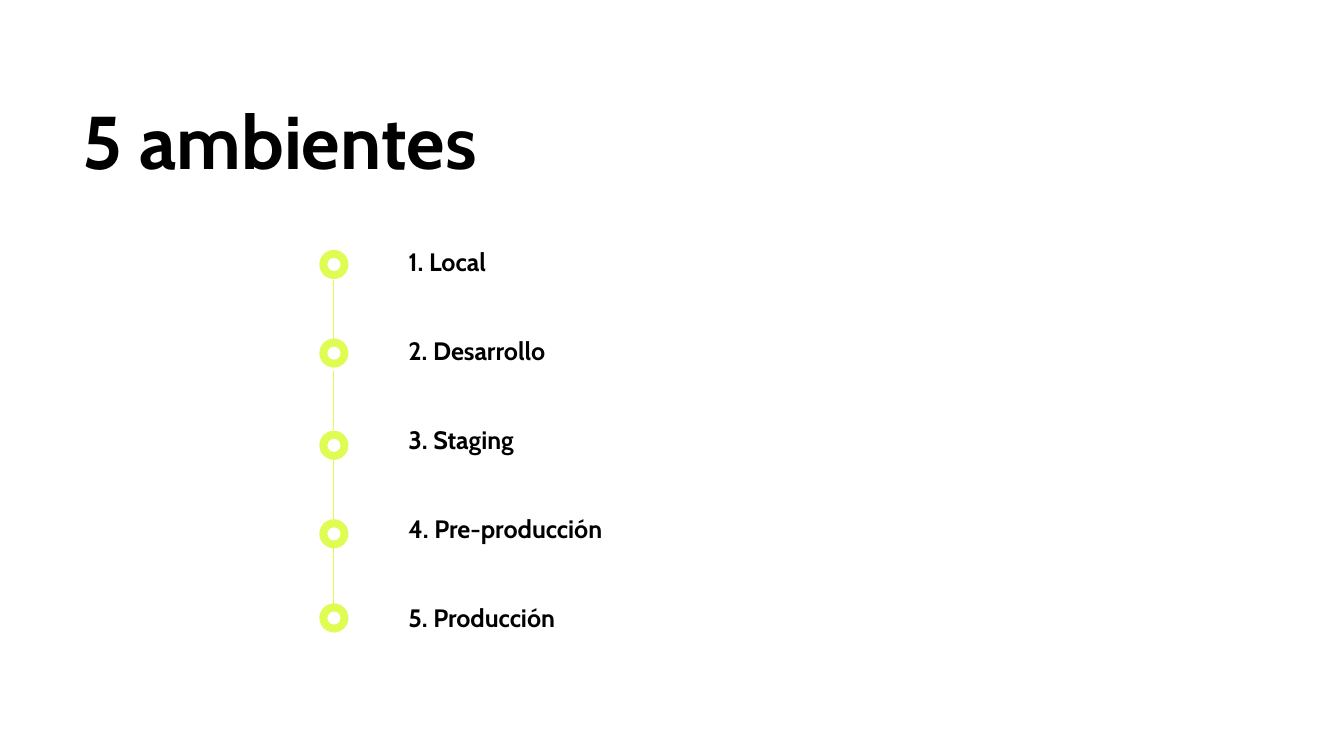
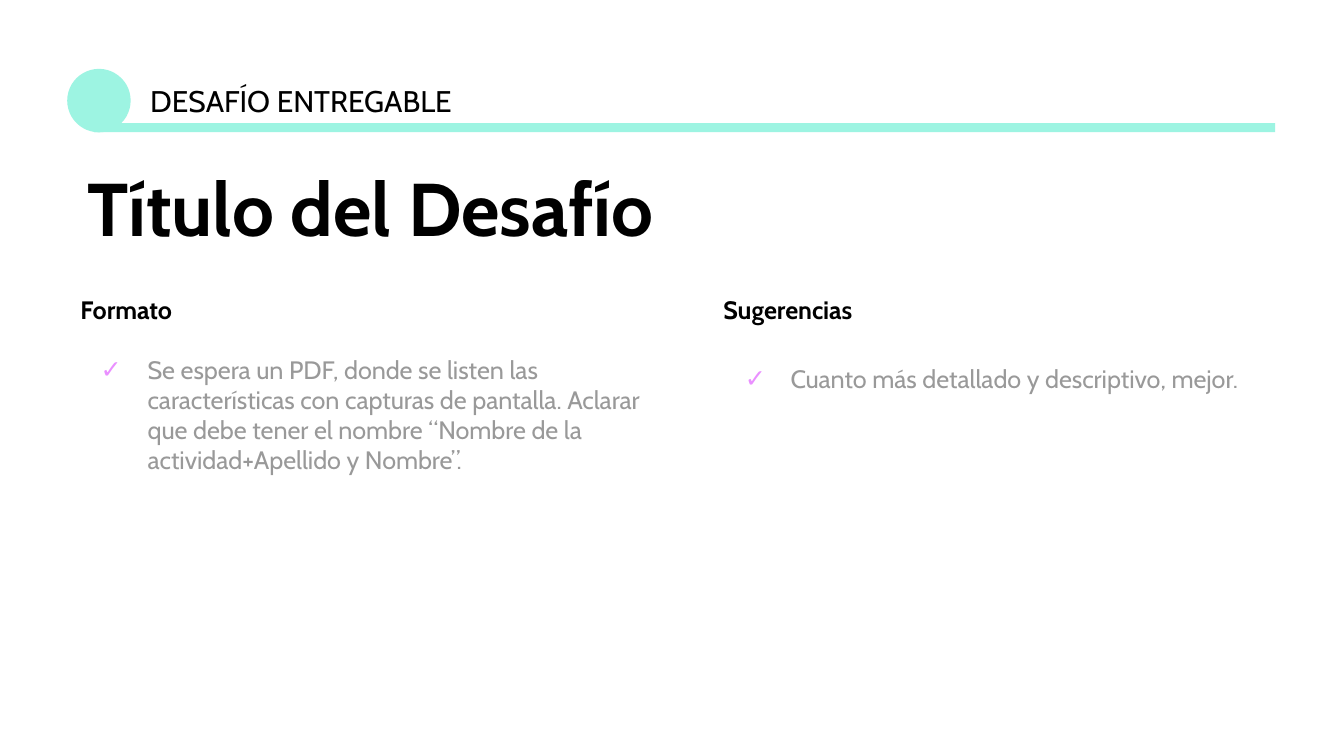
"""Build two slides: the five environments and the challenge brief."""
from lxml.etree import SubElement as Sub
from pptx import Presentation
from pptx.dml.color import RGBColor as RGB
from pptx.enum.shapes import MSO_CONNECTOR as Link, MSO_SHAPE as Form
from pptx.enum.text import MSO_AUTO_SIZE as Fit
from pptx.oxml.ns import qn
from pptx.util import Pt

INK = {"black": "000000", "white": "FFFFFF", "lime": "DEFC52",
       "mint": "9DF4E2", "grey": "999999", "pink": "EA90FF"}
FONT = "Cabin"
TITLE = {"size": 40, "bold": True, "lead": 0.9}
HEAD = {"size": 13.5, "bold": True}


def write(slide, left, top, width, height, text, size, bold=False, lead=None):
    box = slide.shapes.add_textbox(Pt(left), Pt(top), Pt(width), Pt(height))
    frame = box.text_frame
    frame.word_wrap = True
    frame.auto_size = Fit.SHAPE_TO_FIT_TEXT
    for side in ("left", "right", "top", "bottom"):
        setattr(frame, f"margin_{side}", Pt(7.2))
    para = frame.paragraphs[0]
    if lead:
        para.line_spacing = lead
    run = para.add_run()
    run.text = text
    run.font.name, run.font.size, run.font.bold = FONT, Pt(size), bold
    run.font.color.rgb = RGB.from_string(INK["black"])
    return frame


def draw(shapes, form, left, top, width, height, tone):
    shape = shapes.add_shape(form, Pt(left), Pt(top), Pt(width), Pt(height))
    shape.shadow.inherit = False
    shape.fill.solid()
    shape.fill.fore_color.rgb = RGB.from_string(INK[tone])
    shape.line.fill.background()


deck = Presentation()
deck.slide_width, deck.slide_height = Pt(720), Pt(405)
blank = deck.slide_layouts[6]

stages = deck.slides.add_slide(blank)
write(stages, 37.4, 49, 640.8, 58.3, "5 ambientes", **TITLE)

AXIS = 178.8
for start, end in [(149.8, 181.4), (198.7, 230.4), (246.2, 277.9), (289.4, 327.6)]:
    line = stages.shapes.add_connector(Link.STRAIGHT, Pt(AXIS), Pt(start), Pt(AXIS), Pt(end))
    line.line.color.rgb = RGB.from_string(INK["lime"])
    line.line.width = Pt(0.75)
    Sub(line._element.spPr, qn("a:effectLst"))

names = ["Local", "Desarrollo", "Staging", "Pre-producción", "Producción"]
tops = [133.9, 181.4, 230.8, 278.2, 323.3]
for step, (name, top) in enumerate(zip(names, tops)):
    ring = stages.shapes.add_group_shape()
    draw(ring.shapes, Form.OVAL, 171.1, top, 15.6, 15.6, "lime")
    draw(ring.shapes, Form.OVAL, 175.4, top + 4.3, 7, 7, "white")
    write(stages, 211.7, 124.6 + 47.7 * step, 337, 31, f"{step + 1}. {name}", **HEAD)

task = deck.slides.add_slide(blank)
draw(task.shapes, Form.OVAL, 36, 36.9, 34, 34, "mint")
draw(task.shapes, Form.RECTANGLE, 50.4, 66, 632.7, 4.8, "mint")
write(task, 73.4, 36.9, 193.7, 33.8, "DESAFÍO ENTREGABLE", 16)
write(task, 39.8, 84.9, 575.3, 58.3, "Título del Desafío", **TITLE)

columns = [
    (36, 337.7, 113.8, 15.8, 25.2, "Formato",
     "Se espera un PDF, donde se listen las características con capturas de pantalla. "
     "Aclarar que debe tener el nombre “Nombre de la actividad+Apellido y Nombre”."),
    (380.4, 301.7, 85, 20.8, 24.5, "Sugerencias",
     "Cuanto más detallado y descriptivo, mejor."),
]
for left, width, height, gap, hang, head, note in columns:
    frame = write(task, left, 150.5, width, height, head, **HEAD)
    para = frame.add_paragraph()
    para.space_before = Pt(gap)
    props = para._p.get_or_add_pPr()
    props.set("marL", str(Pt(36)))
    props.set("indent", str(-Pt(hang)))
    Sub(Sub(props, qn("a:buClr")), qn("a:srgbClr"), val=INK["pink"])
    Sub(props, qn("a:buFont"), typeface=FONT)
    Sub(props, qn("a:buChar"), char="✓")
    run = para.add_run()
    run.text = note
    run.font.name, run.font.size, run.font.bold = FONT, Pt(13.5), False
    run.font.color.rgb = RGB.from_string(INK["grey"])

deck.save("out.pptx")
